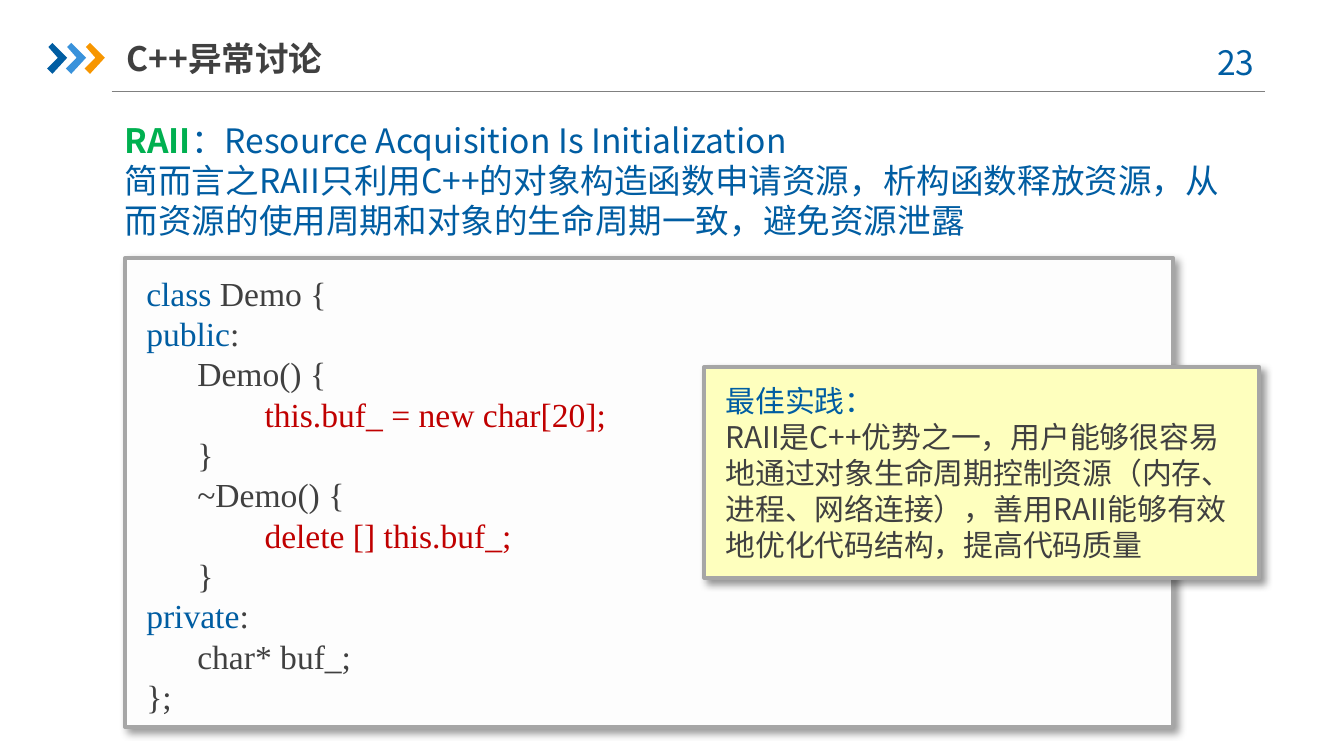
from lxml.etree import SubElement
from pptx import Presentation
from pptx.dml.color import RGBColor
from pptx.enum.lang import MSO_LANGUAGE_ID
from pptx.enum.shapes import MSO_CONNECTOR, MSO_SHAPE
from pptx.enum.text import MSO_ANCHOR, PP_ALIGN
from pptx.oxml import parse_xml
from pptx.oxml.ns import nsdecls, qn
from pptx.util import Inches, Pt

SANS, SERIF = "Noto Sans CJK SC", "Times New Roman"
COLORS = {
    "blue": "005DA2", "sky": "3992DB", "orange": "F79600", "green": "00B050",
    "red": "C00000", "text": "404040", "rule": "808080", "border": "A6A6A6",
    "code": "FDFDFD", "note": "FEFFBE",
}

# Content: each paragraph is (indent in inches, [(text, colour, bold), ...])
TITLE = [(0, [("C++异常讨论", "text", True)])]
PAGE_NUMBER = [(0, [("23 ", "blue", False)])]
INTRO = [
    (0, [("RAII", "green", True),
         ("：Resource Acquisition Is Initialization", "blue", False)]),
    (0, [("简而言之RAII只利用C++的对象构造函数申请资源，析构函数释放资源，"
          "从而资源的使用周期和对象的生命周期一致，避免资源泄露", "blue", False)]),
]
MEMBER, BODY = 0.38, 0.88
CODE = [
    (0, [("class ", "blue", False), ("Demo {", "text", False)]),
    (0, [("public", "blue", False), (":", "text", False)]),
    (MEMBER, [("Demo() {", "text", False)]),
    (BODY, [("this.buf_ = new char[20];", "red", False)]),
    (MEMBER, [("}", "text", False)]),
    (MEMBER, [("~Demo() {", "text", False)]),
    (BODY, [("delete [] this.buf_;", "red", False)]),
    (MEMBER, [("}", "text", False)]),
    (0, [("private", "blue", False), (":", "text", False)]),
    (MEMBER, [("char* buf_;", "text", False)]),
    (0, [("};", "text", False)]),
]
PRACTICE = [
    (0, [("最佳实践：", "blue", False)]),
    (0, [("RAII是C++优势之一，用户能够很容易地通过对象生命周期控制资源"
          "（内存、进程、网络连接），善用RAII能够有效地优化代码结构，"
          "提高代码质量", "text", False)]),
]
CHEVRONS = ["blue", "sky", "orange"]
CHEVRON_POINTS = [(0.01, 0.03), (0.04, 0), (0.15, 0.11), (0.04, 0.23),
                  (0, 0.19), (0.08, 0.11)]


def rgb(name):
    return RGBColor.from_string(COLORS[name])


def write(frame, paragraphs, font=SANS, size=18):
    frame.word_wrap = True
    for i, (indent, runs) in enumerate(paragraphs):
        paragraph = frame.paragraphs[0] if i == 0 else frame.add_paragraph()
        paragraph.alignment = PP_ALIGN.LEFT
        if indent:
            properties = paragraph._p.get_or_add_pPr()
            properties.set("marL", str(Inches(indent)))
            properties.set("indent", "0")
        for text, color, bold in runs:
            run = paragraph.add_run()
            run.text = text
            run.font.name, run.font.size, run.font.bold = font, Pt(size), bold
            run.font.color.rgb = rgb(color)
            run.font.language_id = MSO_LANGUAGE_ID.SIMPLIFIED_CHINESE
            run.font._element.find(qn("a:latin")).addnext(
                parse_xml(f'<a:ea {nsdecls("a")} typeface="{font}"/>'))


def add_text(box, paragraphs, **style):
    frame = slide.shapes.add_textbox(*map(Inches, box)).text_frame
    write(frame, paragraphs, **style)
    return frame


def add_panel(box, fill):
    panel = slide.shapes.add_shape(MSO_SHAPE.RECTANGLE, *map(Inches, box))
    panel.fill.solid()
    panel.fill.fore_color.rgb = rgb(fill)
    panel.line.color.rgb = rgb("border")
    panel.line.width = Pt(2)
    panel._element.spPr.append(parse_xml(
        f'<a:effectLst {nsdecls("a")}><a:outerShdw blurRad="{Pt(4)}" '
        f'dist="{Pt(3)}" dir="2700000" algn="tl" rotWithShape="0">'
        '<a:srgbClr val="000000"><a:alpha val="40000"/></a:srgbClr>'
        '</a:outerShdw></a:effectLst>'))


# 16:9 slide
prs = Presentation()
prs.slide_width, prs.slide_height = Inches(10), Inches(10 * 9 / 16)
slide = prs.slides.add_slide(prs.slide_layouts[5])

# Header: rule, chevrons, page number, title
rule = slide.shapes.add_connector(
    MSO_CONNECTOR.STRAIGHT, Inches(0.83), Inches(0.68), Inches(9.41), Inches(0.68))
rule.line.color.rgb = rgb("rule")
rule.line.width = Pt(0.75)
SubElement(rule._element.spPr, qn("a:effectLst"))

for i, color in enumerate(CHEVRONS):
    points = [(Inches(0.35 + 0.14 * i + x), Inches(0.32 + y))
              for x, y in CHEVRON_POINTS]
    builder = slide.shapes.build_freeform(*points[0])
    builder.add_line_segments(points[1:], close=True)
    chevron = builder.convert_to_shape()
    chevron.shadow.inherit = False
    chevron.fill.solid()
    chevron.fill.fore_color.rgb = rgb(color)
    chevron.line.fill.background()

number = add_text((8.86, 0.26, 0.73, 0.4), PAGE_NUMBER)
number.paragraphs[0].alignment = PP_ALIGN.CENTER

title = slide.shapes.title
title.left, title.top, title.width, title.height = map(
    Inches, (0.94, 0.22, 2.96, 0.42))
title.text_frame.margin_left = title.text_frame.margin_right = 0
title.text_frame.vertical_anchor = MSO_ANCHOR.MIDDLE
write(title.text_frame, TITLE)

# Definition
add_text((0.83, 0.84, 8.43, 1.01), INTRO)

# Code panel
add_panel((0.93, 1.92, 7.8, 3.49), "code")
add_text((0.99, 1.98, 7.6, 3.43), CODE, font=SERIF)

# Best-practice note
add_panel((5.24, 2.73, 4.13, 1.57), "note")
add_text((5.3, 2.8, 3.99, 1.45), PRACTICE, size=16)

prs.save("out.pptx")
